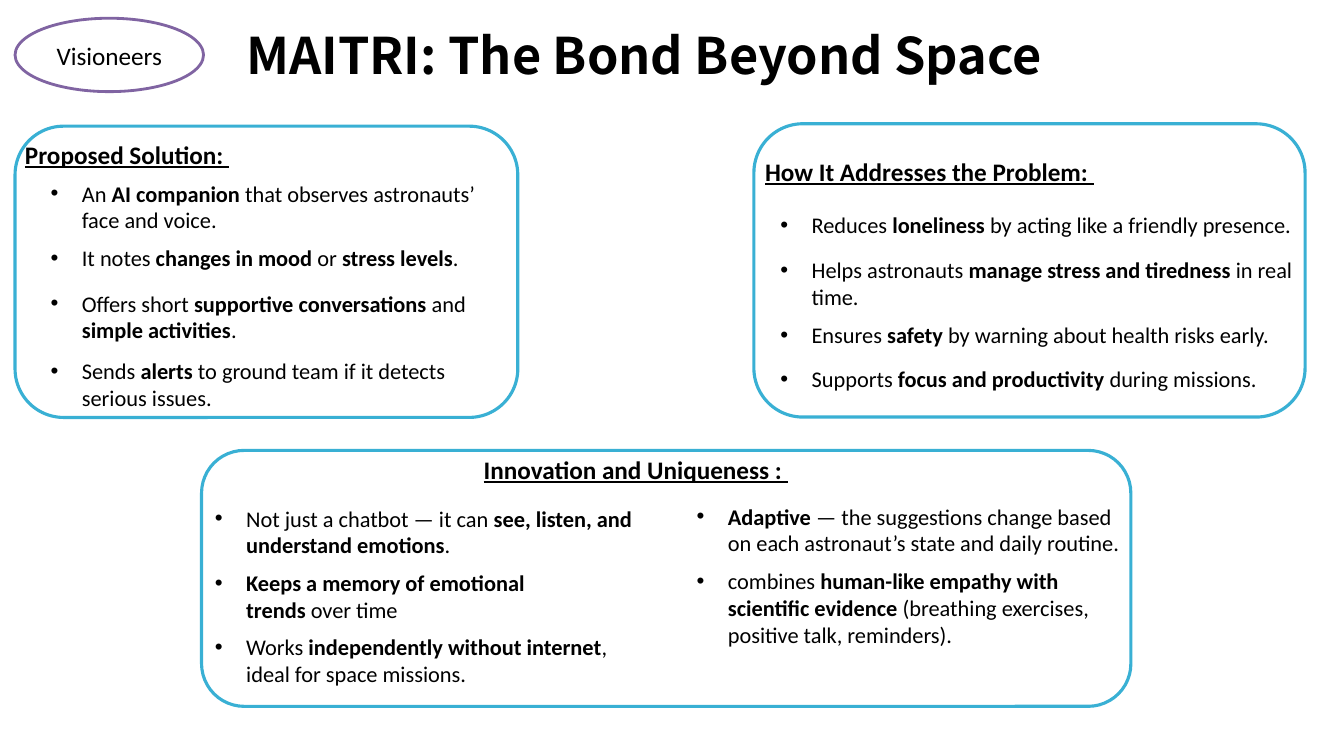
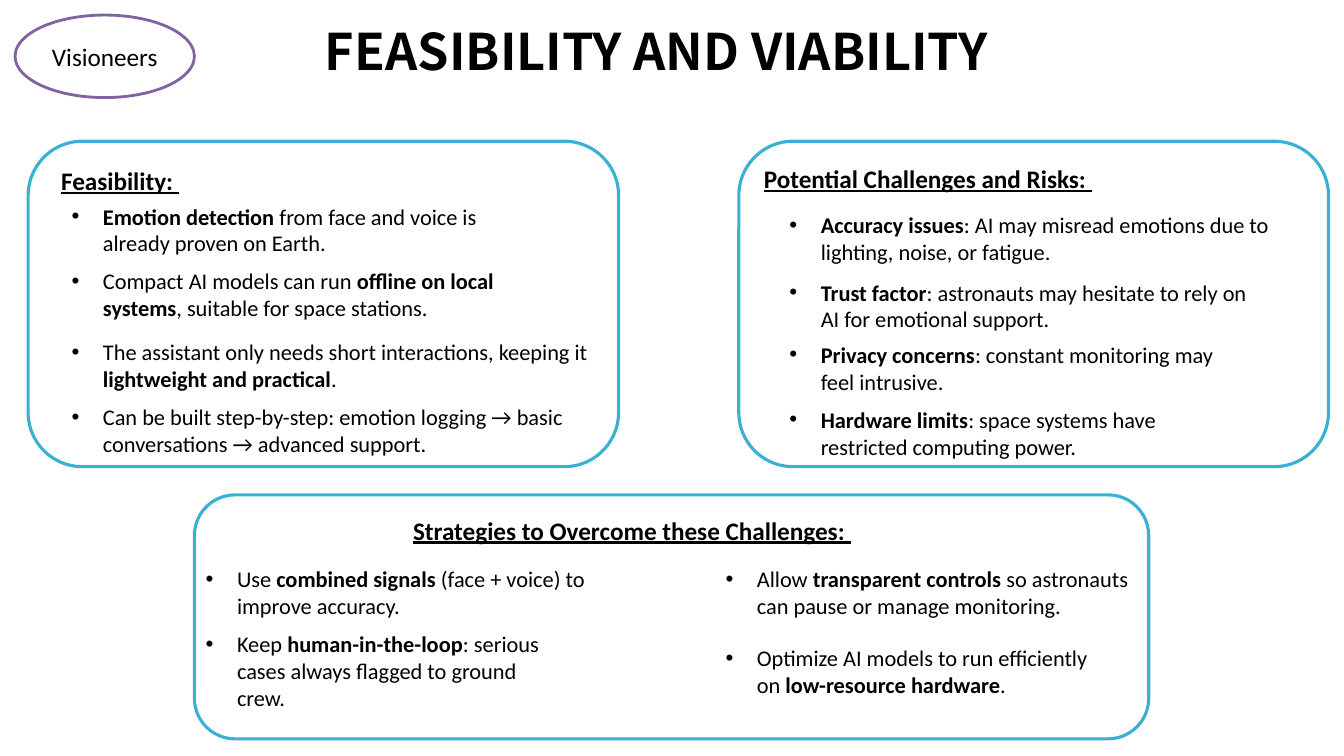
from dataclasses import dataclass

from lxml.etree import SubElement
from pptx import Presentation
from pptx.dml.color import RGBColor
from pptx.enum.shapes import MSO_SHAPE as Preset
from pptx.enum.text import MSO_ANCHOR as Anchor
from pptx.enum.text import MSO_AUTO_SIZE as AutoSize
from pptx.enum.text import PP_ALIGN as Align
from pptx.oxml.ns import qn
from pptx.util import Cm, Pt

BLACK, WHITE, PURPLE, CYAN = "000000", "FFFFFF", "8064A2", "39B0D4"
BODY_FONT, TITLE_FONT = "Calibri", "Noto Sans CJK JP"
COMPARISON_LAYOUT = 4
BULLET_INDENT = Cm(0.79)
HEADING_HEIGHT = 1.02


@dataclass
class Bullets:
    left: float
    top: float
    width: float
    items: list


@dataclass
class Panel:
    box: tuple
    heading: str
    heading_offset: tuple
    columns: list


@dataclass
class Topic:
    title: str
    title_box: tuple
    team_box: tuple
    panels: list


def color(hex_code):
    return RGBColor.from_string(hex_code)


def lengths(box):
    return [Cm(value) for value in box]


def place(shape, box):
    shape.left, shape.top, shape.width, shape.height = lengths(box)


def write(paragraph, text, size=16, font=BODY_FONT, bold=False, underline=False,
          align=Align.LEFT, before=0):
    paragraph.alignment = align
    paragraph.space_before = Pt(before)
    paragraph.space_after = Pt(0)
    paragraph.line_spacing = 1.0
    for index, part in enumerate(text.split("**")):
        for line_number, line in enumerate(part.split("\n")):
            if line_number:
                paragraph.add_line_break()
            if not line:
                continue
            run = paragraph.add_run()
            run.text = line
            run.font.name = font
            run.font.size = Pt(size)
            run.font.bold = bold or index % 2 == 1
            run.font.underline = underline
            run.font.color.rgb = color(BLACK)


def set_bullet(paragraph):
    properties = paragraph._p.get_or_add_pPr()
    properties.set("marL", str(BULLET_INDENT))
    properties.set("indent", str(-BULLET_INDENT))
    SubElement(properties, qn("a:buFont")).set("typeface", "Arial")
    SubElement(properties, qn("a:buChar")).set("char", "•")


def prepare_frame(shape, anchor):
    frame = shape.text_frame
    frame.word_wrap = True
    frame.auto_size = AutoSize.NONE
    frame.vertical_anchor = anchor
    return frame


def add_outline(slide, preset, box, line, width, fill=None):
    shape = slide.shapes.add_shape(preset, *lengths(box))
    shape.shadow.inherit = False
    shape.line.color.rgb = color(line)
    shape.line.width = Pt(width)
    if fill:
        shape.fill.solid()
        shape.fill.fore_color.rgb = color(fill)
    else:
        shape.fill.background()
    return shape


def add_title(slide, text, box):
    title = slide.shapes.title
    place(title, box)
    frame = prepare_frame(title, Anchor.MIDDLE)
    write(frame.paragraphs[0], text, size=36, font=TITLE_FONT, bold=True, align=Align.CENTER)


def add_team(slide, box):
    team = add_outline(slide, Preset.OVAL, box, PURPLE, 2, fill=WHITE)
    frame = prepare_frame(team, Anchor.MIDDLE)
    write(frame.paragraphs[0], "Visioneers", size=18, align=Align.CENTER)


def fill_bullets(placeholder, box, items):
    place(placeholder, box)
    frame = prepare_frame(placeholder, Anchor.TOP)
    for index, (before, text) in enumerate(items):
        paragraph = frame.add_paragraph() if index else frame.paragraphs[0]
        write(paragraph, text, before=before)
        set_bullet(paragraph)


def add_panel(slide, panel, bodies):
    left, top, width, height = panel.box
    dx, dy = panel.heading_offset
    heading_box = (left + dx, top + dy, width - dx, HEADING_HEIGHT)
    heading = slide.shapes.add_textbox(*lengths(heading_box))
    frame = prepare_frame(heading, Anchor.TOP)
    write(frame.paragraphs[0], panel.heading, size=18, bold=True, underline=True)
    for column in panel.columns:
        box = (left + column.left, top + column.top, column.width, height - column.top)
        fill_bullets(next(bodies), box, column.items)
    add_outline(slide, Preset.ROUNDED_RECTANGLE, panel.box, CYAN, 2.25)


def add_topic(deck, topic):
    slide = deck.slides.add_slide(deck.slide_layouts[COMPARISON_LAYOUT])
    bodies = iter([holder for holder in slide.placeholders
                   if holder.placeholder_format.idx > 0])
    add_title(slide, topic.title, topic.title_box)
    add_team(slide, topic.team_box)
    for panel in topic.panels:
        add_panel(slide, panel, bodies)


TOPICS = [
    Topic("MAITRI: The Bond Beyond Space", (0.99, -0.03, 30.48, 2.79), (0.38, 0.46, 4.75, 1.85), [
        Panel((0.38, 3.18, 12.67, 7.34), "Proposed Solution: ", (0, 0.2), [
            Bullets(0.64, 1.22, 11.61, [
                (0, "An **AI companion **that observes astronauts’ face and voice."),
                (8, "It notes **changes in mood** or **stress levels**."),
                (13, "Offers short **supportive conversations **and **simple activities**."),
                (10, "Sends **alerts **to ground team if it detects serious issues."),
            ]),
        ]),
        Panel((19, 3.12, 13.89, 7.39), "How It Addresses the Problem: ", (0.03, 0.69), [
            Bullets(0.41, 2.08, 13.87, [
                (0, "Reduces **loneliness** by acting like a friendly presence."),
                (13, "Helps astronauts **manage stress and tiredness** in real time."),
                (8, "Ensures **safety** by warning about health risks early."),
                (12, "Supports **focus and productivity** during missions."),
            ]),
        ]),
        Panel((5.08, 11.35, 23.42, 6.45), "Innovation and Uniqueness : ", (6.86, -0.03), [
            Bullets(0.08, 1.24, 11.23, [
                (0, "Not just a chatbot — it can **see, listen, and understand emotions**."),
                (8, "**Keeps a memory of emotional\ntrends** over time"),
                (7, "Works **independently without internet**, ideal for space missions."),
            ]),
            Bullets(12.22, 1.19, 11.23, [
                (0, "**Adaptive** — the suggestions change based on each astronaut’s state "
                    "and daily routine."),
                (8, "combines **human-like empathy with scientific evidence** "
                    "(breathing exercises, positive talk, reminders)."),
            ]),
        ]),
    ]),
    Topic("FEASIBILITY AND VIABILITY", (1.3, -0.33, 30.48, 3.18), (0.38, 0.38, 4.52, 2.08), [
        Panel((0.71, 3.56, 14.88, 8.2), "Feasibility: ", (0.58, 0.48), [
            Bullets(0.84, 1.42, 14.02, [
                (0, "**Emotion detection** from face and voice is\nalready proven on Earth."),
                (8, "Compact AI models can run **offline on local\nsystems**, "
                    "suitable for space stations."),
                (12, "The assistant only needs short interactions, keeping it "
                     "**lightweight and practical**."),
                (8, "Can be built step-by-step: emotion logging → basic conversations "
                    "→ advanced support."),
            ]),
        ]),
        Panel((18.62, 3.56, 14.86, 8.2), "Potential Challenges and Risks: ", (0.38, 0.43), [
            Bullets(1.02, 1.63, 12.95, [
                (0, "**Accuracy issues**: AI may misread emotions due to lighting, noise, "
                    "or fatigue."),
                (10, "**Trust factor**: astronauts may hesitate to rely on\n"
                     "AI for emotional support."),
                (6, "**Privacy concerns**: constant monitoring may\nfeel intrusive."),
                (8, "**Hardware limits**: space systems have\nrestricted computing power."),
            ]),
        ]),
        Panel((4.9, 12.47, 24.05, 6.15), "Strategies to Overcome these Challenges: ", (5.26, 0.38), [
            Bullets(0.03, 1.65, 10.62, [
                (0, "Use **combined signals** (face + voice) to improve accuracy."),
                (8, "Keep **human-in-the-loop**: serious\ncases always flagged to ground\ncrew."),
            ]),
            Bullets(13.13, 1.65, 11.35, [
                (0, "Allow **transparent controls** so astronauts can pause or manage monitoring."),
                (18, "Optimize AI models to run efficiently\non **low-resource hardware**."),
            ]),
        ]),
    ]),
]


def main():
    deck = Presentation()
    deck.slide_width, deck.slide_height = Cm(33.87), Cm(19.05)
    for topic in TOPICS:
        add_topic(deck, topic)
    deck.save("out.pptx")


if __name__ == "__main__":
    main()
